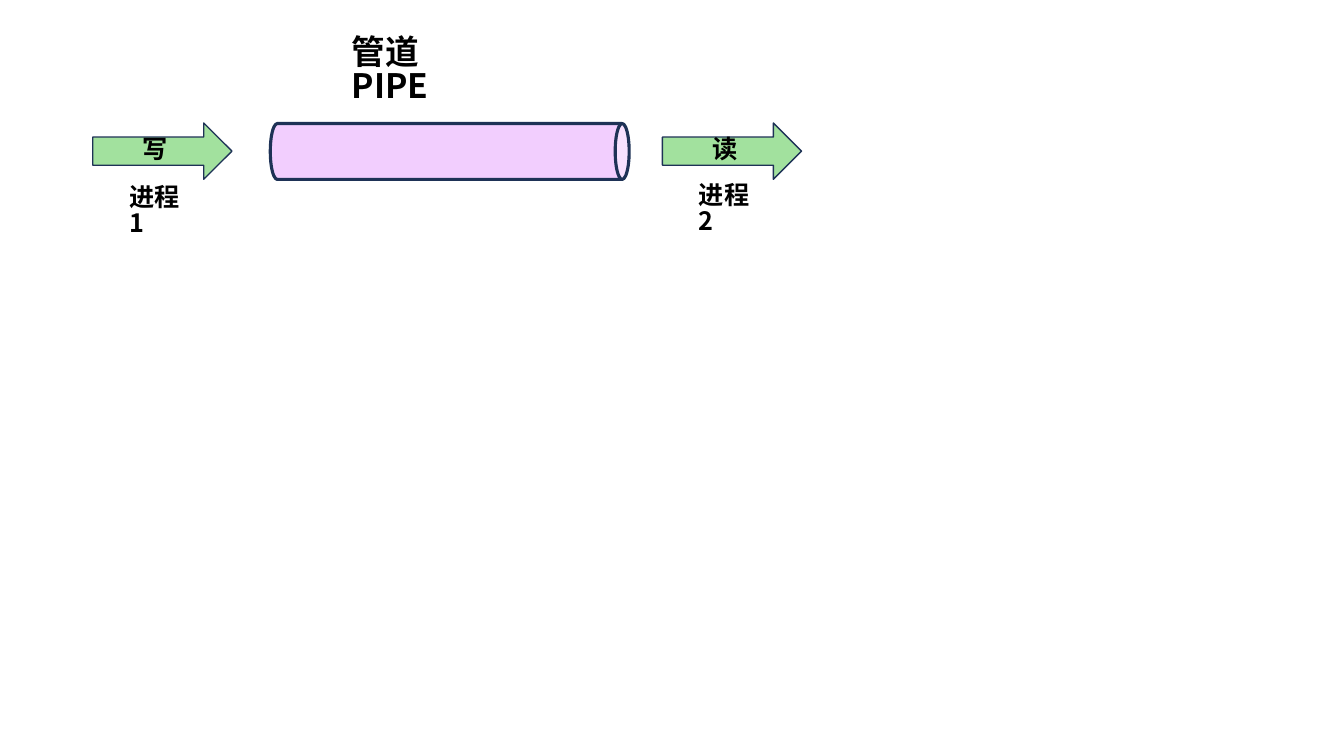
from dataclasses import dataclass

from pptx import Presentation
from pptx import util as u
from pptx.dml.color import RGBColor
from pptx.enum import shapes, text
from pptx.oxml import parse_xml
from pptx.oxml.ns import nsdecls


@dataclass(frozen=True)
class Theme:
    font: str = "Noto Sans CJK SC"
    ink: str = "000000"
    outline: str = "1E3256"
    pipe: str = "F2CEFE"
    arrow: str = "A2E19E"
    title_size: int = 24
    label_size: int = 18
    line_spacing: float = 0.85


@dataclass(frozen=True)
class Box:
    left: float
    top: float
    width: float
    height: float

    def share(self, left, top, width, height):
        """Return a box given as shares of this one."""
        return Box(self.left + left * self.width, self.top + top * self.height,
                   width * self.width, height * self.height)

    def turned(self):
        """Return the box that fills this one after a quarter turn."""
        shift = (self.width - self.height) / 2
        return Box(self.left + shift, self.top - shift, self.height, self.width)

    def inches(self):
        return [u.Inches(n) for n in (self.left, self.top, self.width, self.height)]


THEME = Theme()
SLIDE = Box(0, 0, 13.33, 7.5)


def write(frame, words, size=THEME.label_size, align=text.PP_ALIGN.LEFT,
          anchor=text.MSO_ANCHOR.TOP):
    frame.word_wrap = True
    frame.vertical_anchor = anchor
    para = frame.paragraphs[0]
    para.alignment = align
    para.line_spacing = THEME.line_spacing
    span = para.add_run()
    span.text = words
    span.font.size = u.Pt(size)
    span.font.bold = True
    span.font.name = THEME.font
    span.font.color.rgb = RGBColor.from_string(THEME.ink)
    # The East Asian typeface needs its own element
    east_asian = parse_xml(f'<a:ea {nsdecls("a")} typeface="{THEME.font}"/>')
    span.font._element.append(east_asian)


def add_label(page, box, words, **style):
    write(page.shapes.add_textbox(*box.inches()).text_frame, words, **style)


def add_solid(page, kind, box, fill, line_width):
    shape = page.shapes.add_shape(kind, *box.inches())
    shape.shadow.inherit = False
    shape.fill.solid()
    shape.fill.fore_color.rgb = RGBColor.from_string(fill)
    shape.line.color.rgb = RGBColor.from_string(THEME.outline)
    shape.line.width = u.Pt(line_width)
    return shape


def draw_pipe(page, box):
    # Title above the pipe
    add_label(page, box.share(0.2, 0, 0.43, 0.34), "管道PIPE", size=THEME.title_size)
    # Cylinder lying on its side
    cylinder = add_solid(page, shapes.MSO_SHAPE.CAN,
                         box.share(0, 0.62, 1, 0.38).turned(), THEME.pipe, 2.25)
    cylinder.rotation = 90


def draw_process(page, box, action, name, label_top):
    # Arrow with the action
    arrow = add_solid(page, shapes.MSO_SHAPE.RIGHT_ARROW,
                      box.share(0, 0, 1, 0.57), THEME.arrow, 1)
    write(arrow.text_frame, action, align=text.PP_ALIGN.CENTER,
          anchor=text.MSO_ANCHOR.MIDDLE)
    # Process name below
    add_label(page, box.share(0.19, label_top, 0.58, 0.41), name)


def main():
    deck = Presentation()
    deck.slide_width, deck.slide_height = u.Inches(SLIDE.width), u.Inches(SLIDE.height)
    page = deck.slides.add_slide(deck.slide_layouts[6])

    # Inches to shares of the slide
    column, row = 1 / SLIDE.width, 1 / SLIDE.height
    draw_pipe(page, SLIDE.share(2.68 * column, 0.32 * row, 3.56 * column, 1.46 * row))
    for left, action, name, label_top in (
        (0.92, "写", "进程1", 0.59),
        (6.57, "读", "进程2", 0.57),
    ):
        draw_process(page, SLIDE.share(left * column, 1.22 * row,
                                       1.38 * column, 0.98 * row),
                     action, name, label_top)

    deck.save("out.pptx")


if __name__ == "__main__":
    main()
